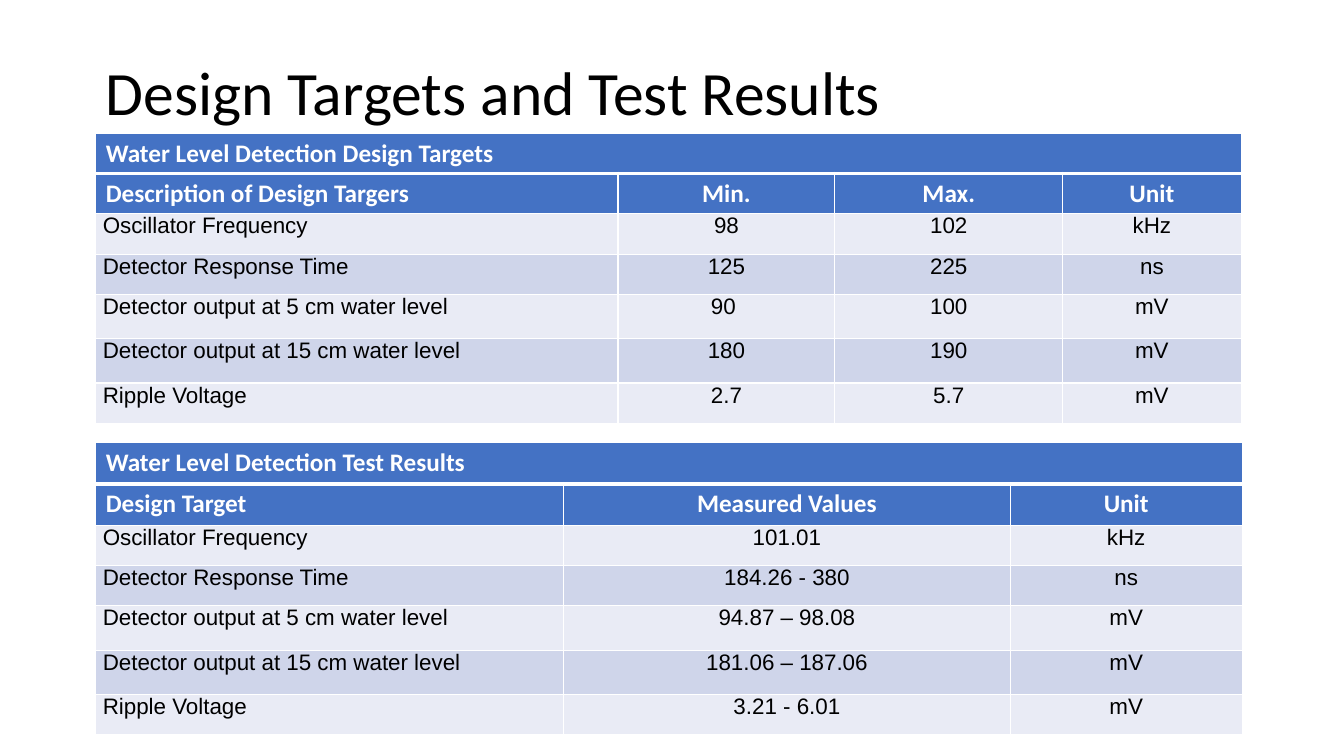
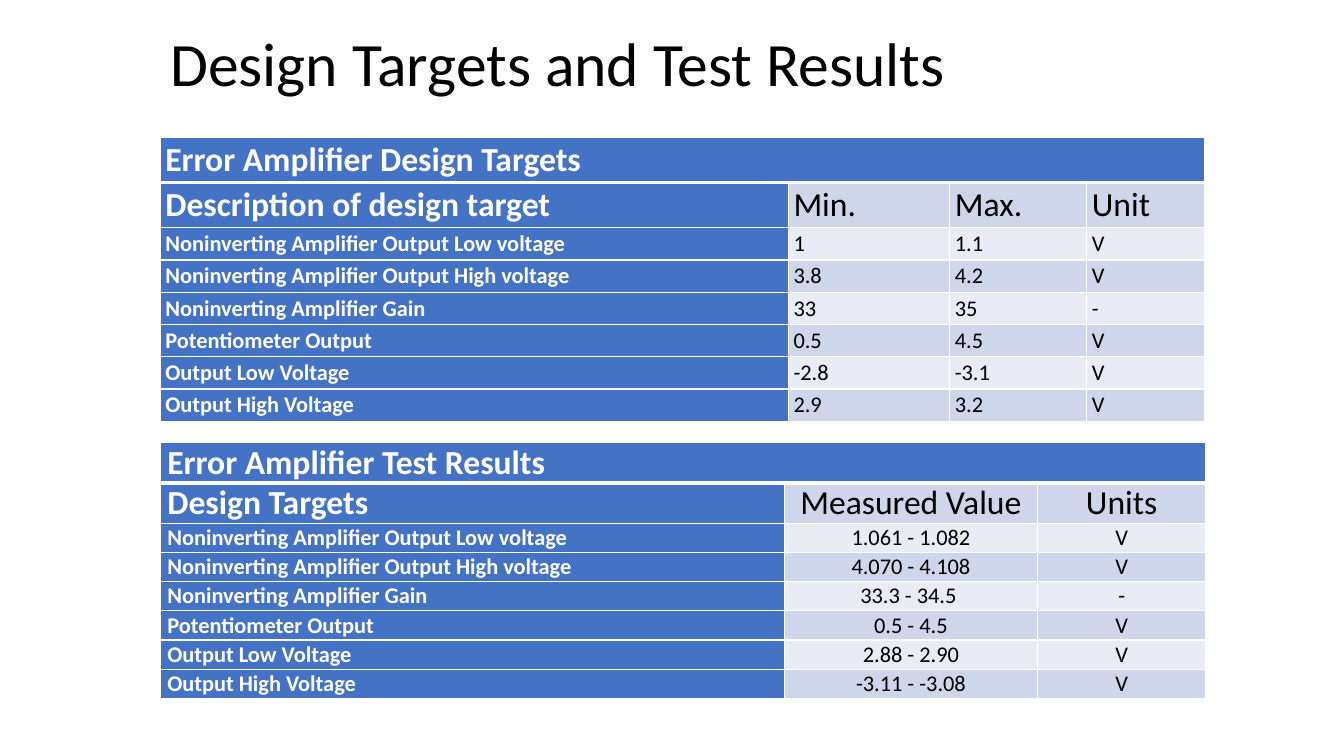
from dataclasses import dataclass

from lxml import etree
from pptx import Presentation
from pptx.dml.color import RGBColor
from pptx.enum.text import MSO_ANCHOR, PP_ALIGN
from pptx.oxml.ns import qn
from pptx.util import Inches, Pt

TOP, MID = MSO_ANCHOR.TOP, MSO_ANCHOR.MIDDLE
LEFT, CENTER = PP_ALIGN.LEFT, PP_ALIGN.CENTER

BLUE, PALE, DARK = "4472C4", "E9EBF5", "CFD5EA"
WHITE, BLACK = "FFFFFF", "000000"
TITLE = "Design Targets and Test Results"


@dataclass
class Pad:
    """Insets in inches, paragraph spacing in points."""
    side: float
    edge: float
    before: int = 0
    after: int = 0


@dataclass
class Look:
    head_size: int
    head_pad: Pad
    body_pad: Pad
    font: str = "Calibri"       # font of the body rows
    blue_col: bool = False      # blue first column, or blue header row
    align: int = CENTER         # alignment of all but the first column
    anchor: int = TOP


PLAIN = Pad(0.1, 0.05)
TIGHT = Pad(0.07, 0, 6, 4)
SNUG = Pad(0.05, 0.02, 0, 4)

WATER = Look(18, PLAIN, TIGHT, font="Arial")
LIMITS = Look(24, SNUG, SNUG, blue_col=True, align=LEFT, anchor=MID)
TESTS = Look(24, TIGHT, TIGHT, blue_col=True, anchor=MID)

# Labels and units that both tables of a slide share
LEVELS = ["Oscillator Frequency", "Detector Response Time",
          "Detector output at 5 cm water level",
          "Detector output at 15 cm water level", "Ripple Voltage"]
LEVEL_UNITS = ["kHz", "ns", "mV", "mV", "mV"]
AMPS = ["Noninverting Amplifier Output Low voltage",
        "Noninverting Amplifier Output High voltage",
        "Noninverting Amplifier Gain", "Potentiometer Output",
        "Output Low Voltage", "Output High Voltage"]
AMP_UNITS = ["V", "V", "-", "V", "V", "V"]


def color(code):
    return RGBColor.from_string(code)


def style(para, size, font, code, bold=False):
    for run in para.runs:
        run.font.size = Pt(size)
        run.font.name = font
        run.font.bold = bold
        run.font.color.rgb = color(code)


def add_title(slide, left, top, width, height, anchor):
    box = slide.shapes.add_textbox(*map(Inches, (left, top, width, height)))
    frame = box.text_frame
    frame.word_wrap = True
    frame.vertical_anchor = anchor
    frame.text = TITLE
    para = frame.paragraphs[0]
    para.line_spacing = 0.9
    style(para, 44, "Calibri", BLACK)


def add_edges(cell, row):
    """White borders, with a thick rule below the caption row."""
    props = cell._tc.get_or_add_tcPr()
    thick = {(0, "lnB"), (1, "lnT")}
    for side in ("lnL", "lnR", "lnT", "lnB"):
        width = Pt(3 if (row, side) in thick else 1)
        line = etree.SubElement(props, qn("a:" + side), w=str(width))
        fill = etree.SubElement(line, qn("a:solidFill"))
        etree.SubElement(fill, qn("a:srgbClr"), val=WHITE)


def fill_cell(cell, text, row, col, look):
    head = row < 2
    blue = row == 0 or (col == 0 if look.blue_col else head)
    pad = look.head_pad if head else look.body_pad

    add_edges(cell, row)
    cell.fill.solid()
    cell.fill.fore_color.rgb = color(BLUE if blue else (PALE, DARK)[row % 2])
    cell.margin_left = cell.margin_right = Inches(pad.side)
    cell.margin_top = cell.margin_bottom = Inches(pad.edge)
    cell.vertical_anchor = look.anchor

    cell.text_frame.text = text
    para = cell.text_frame.paragraphs[0]
    para.alignment = look.align if col else LEFT
    para.space_before, para.space_after = Pt(pad.before), Pt(pad.after)
    style(para, look.head_size if head else 16,
          "Calibri" if head else look.font, WHITE if blue else BLACK, blue)


def add_grid(slide, left, top, widths, heights, look, caption, heads, body):
    rows = [[caption] + [""] * (len(heads) - 1), heads, *body]
    frame = slide.shapes.add_table(
        len(rows), len(heads), Inches(left), Inches(top),
        Inches(sum(widths)), Inches(sum(heights)))
    table = frame.table
    table.first_row = table.horz_banding = False
    for column, width in zip(table.columns, widths):
        column.width = Inches(width)
    for line, height in zip(table.rows, heights):
        line.height = Inches(height)
    for row, texts in enumerate(rows):
        for col, text in enumerate(texts):
            fill_cell(table.cell(row, col), text, row, col, look)
    table.cell(0, 0).merge(table.cell(0, len(heads) - 1))


def water_slide(slide):
    left = 0.95
    heights = [0.4, 0.4, 0.4, 0.4, 0.44, 0.44, 0.4]
    add_title(slide, left, 0.22, 11.3, 1.45, MID)
    lows = ["98", "125", "90 ", "180", "2.7"]
    highs = ["102", "225", "100", "190", "5.7"]
    add_grid(slide, left, 1.32, [5.18, 2.15, 2.26, 1.77], heights, WATER,
             "Water Level Detection Design Targets",
             ["Description of Design Targers", "Min.", "Max.", "Unit"],
             zip(LEVELS, lows, highs, LEVEL_UNITS))
    found = ["101.01", "184.26 - 380", "94.87 – 98.08", "181.06 – 187.06",
             "3.21 - 6.01"]
    add_grid(slide, left, 4.39, [4.64, 4.43, 2.3], [0.41, 0.41] + heights[2:],
             WATER, "Water Level Detection Test Results",
             ["Design Target", "Measured Values", "Unit"],
             zip(LEVELS, found, LEVEL_UNITS))


def amp_slide(slide):
    left = 1.59
    add_title(slide, left, 0.28, 8.15, 0.84, TOP)
    lows = ["1", "3.8", "33", "0.5", "-2.8", "2.9"]
    highs = ["1.1", "4.2", "35", "4.5", "-3.1", "3.2"]
    add_grid(slide, left, 1.36, [6.23, 1.6, 1.36, 1.17],
             [0.45] * 2 + [0.32] * 6, LIMITS,
             "Error Amplifier Design Targets",
             ["Description of design target", "Min.", "Max.", "Unit"],
             zip(AMPS, lows, highs, AMP_UNITS))
    found = ["1.061 - 1.082", "4.070 - 4.108", "33.3 - 34.5 ", "0.5 - 4.5",
             "2.88 - 2.90", "-3.11 - -3.08"]
    add_grid(slide, left, 4.39, [6.19, 2.51, 1.67],
             [0.4] * 2 + [0.29] * 6, TESTS,
             "Error Amplifier Test Results",
             ["Design Targets", "Measured Value", "Units"],
             zip(AMPS, found, AMP_UNITS))


def main():
    deck = Presentation()
    deck.slide_width, deck.slide_height = Inches(13.33), Inches(7.5)
    blank = deck.slide_layouts[6]
    for build in (water_slide, amp_slide):
        build(deck.slides.add_slide(blank))
    deck.save("out.pptx")


if __name__ == "__main__":
    main()
